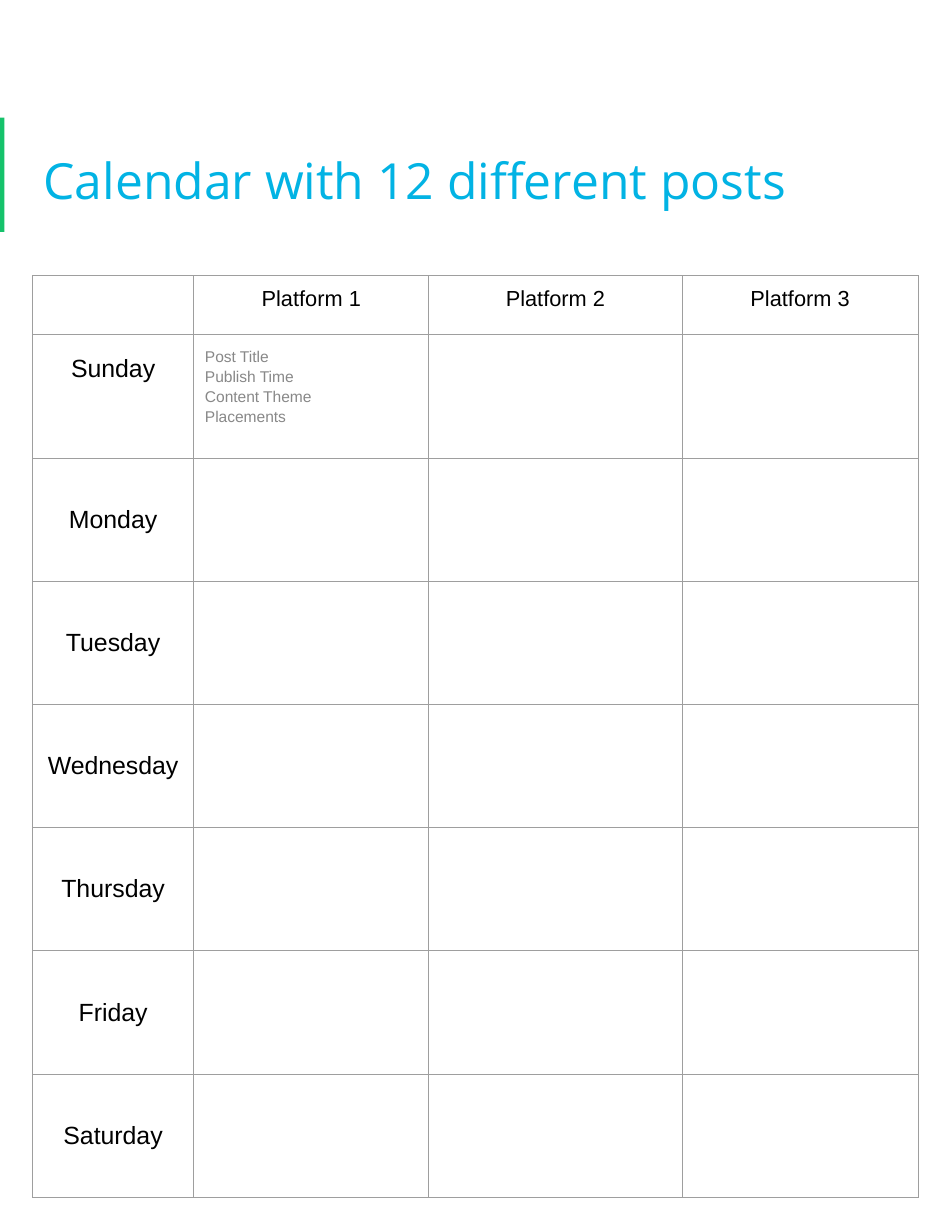
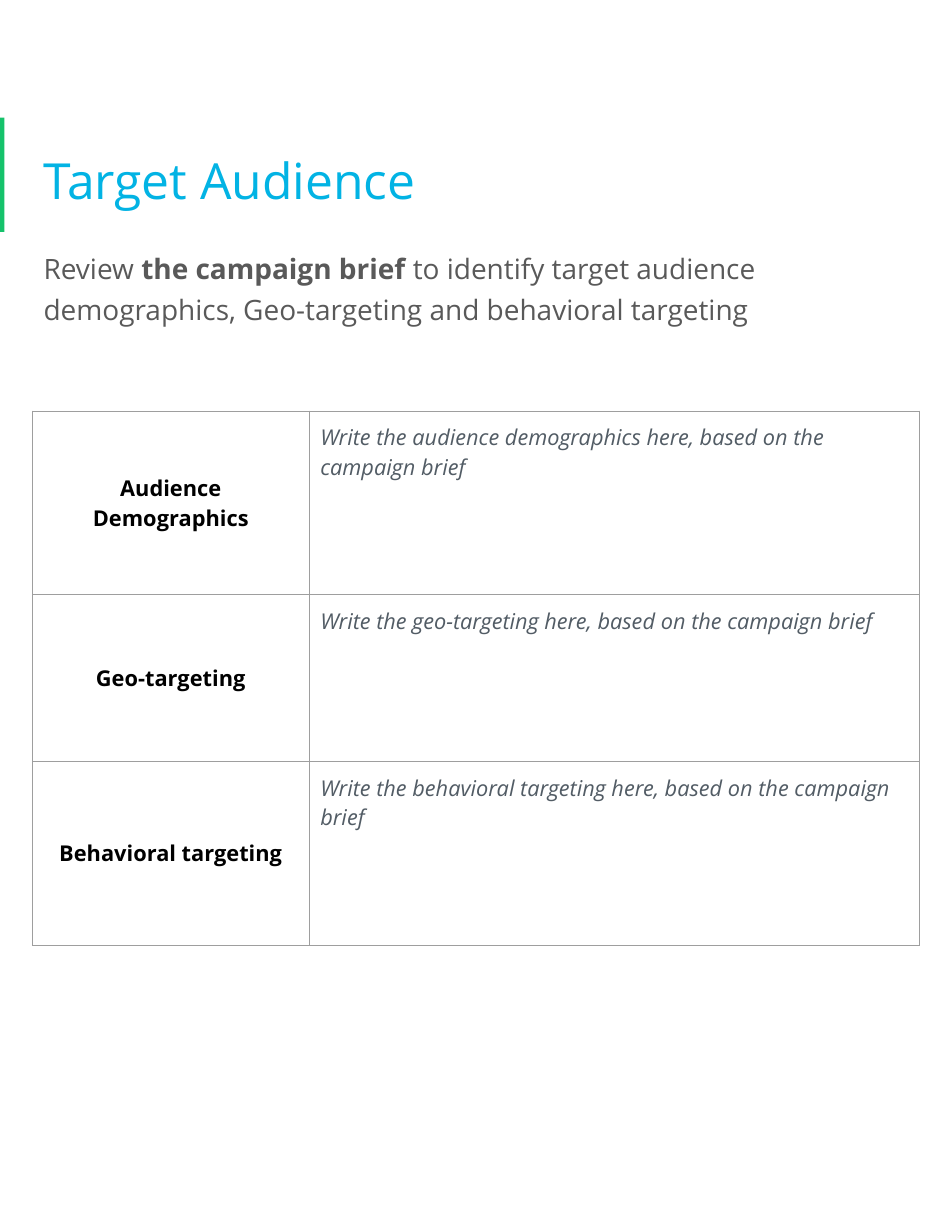
from lxml import etree
from pptx import Presentation
from pptx.dml.color import RGBColor
from pptx.enum.shapes import MSO_SHAPE
from pptx.enum.text import MSO_ANCHOR, PP_ALIGN
from pptx.oxml.ns import qn
from pptx.util import Inches, Pt

RECT = MSO_SHAPE.RECTANGLE
TOP, MIDDLE = MSO_ANCHOR.TOP, MSO_ANCHOR.MIDDLE
LEFT, CENTER = PP_ALIGN.LEFT, PP_ALIGN.CENTER

COLORS = {
    "accent": "15C26B",
    "title": "02B3E4",
    "body": "595959",
    "ink": "000000",
    "hint": "888888",
    "prompt": "525C65",
    "grid": "9E9E9E",
}
SANS, ARIAL = "Open Sans", "Arial"
MARGIN = 0.29
TEXT_WIDTH = 7.92
INSET = Inches(0.1)
INSETS = {f"margin_{side}": INSET for side in ("left", "right", "top", "bottom")}

TITLE = {"name": SANS, "size": Pt(32), "color": "title"}
BODY = {"name": SANS, "size": Pt(18), "color": "body"}
HEADER = {"name": ARIAL, "size": Pt(14), "color": "ink"}
DAY = {"name": ARIAL, "size": Pt(16), "color": "ink"}
HINT = {"name": ARIAL, "size": Pt(10), "color": "hint"}
LABEL = {"name": SANS, "size": Pt(14), "color": "ink", "bold": True}
PROMPT = {"name": SANS, "size": Pt(14), "color": "prompt", "italic": True}

PLATFORMS = ["Platform 1", "Platform 2", "Platform 3"]
DAYS = ["Sunday", "Monday", "Tuesday", "Wednesday", "Thursday", "Friday", "Saturday"]
POST_FIELDS = ["Post Title", "Publish Time", "Content Theme", "Placements"]
AUDIENCE = [
    ("Audience Demographics", "audience demographics"),
    ("Geo-targeting", "geo-targeting"),
    ("Behavioral targeting", "behavioral targeting"),
]


def set_attrs(obj, values):
    """Set each named attribute of an object."""
    for name, value in values.items():
        setattr(obj, name, value)


def add_run(p, text, fmt):
    """Add a formatted run to a paragraph."""
    r = p.add_run()
    r.text = text
    set_attrs(r.font, {k: v for k, v in fmt.items() if k != "color"})
    r.font.color.rgb = RGBColor.from_string(COLORS[fmt["color"]])


def fill_paragraphs(tf, lines, fmt, align=LEFT, spacing=1.0):
    """Write one paragraph per line into a text frame."""
    for i, line in enumerate(lines):
        p = tf.add_paragraph() if i else tf.paragraphs[0]
        set_attrs(p, {"alignment": align, "line_spacing": spacing})
        add_run(p, line, fmt)


def add_text_box(s, top, height, anchor):
    """Add a wrapping text box across the page and return its frame."""
    sp = s.shapes.add_textbox(Inches(MARGIN), Inches(top), Inches(TEXT_WIDTH), Inches(height))
    tf = sp.text_frame
    set_attrs(tf, {**INSETS, "word_wrap": True, "vertical_anchor": anchor})
    return tf


def add_titled_slide(prs, title):
    """Add a blank slide with the accent bar and a title."""
    s = prs.slides.add_slide(prs.slide_layouts[6])
    sp = s.shapes.add_shape(RECT, 0, Inches(1.05), Inches(0.04), Inches(1.02))
    sp.shadow.inherit = False
    sp.fill.solid()
    sp.fill.fore_color.rgb = RGBColor.from_string(COLORS["accent"])
    sp.line.fill.background()
    fill_paragraphs(add_text_box(s, 0.95, 1.22, MIDDLE), [title], TITLE, spacing=1.15)
    return s


def set_borders(cell):
    """Draw a thin grid line on every side of a cell."""
    tc_pr = cell._tc.get_or_add_tcPr()
    for side in ("lnL", "lnR", "lnT", "lnB"):
        ln = etree.SubElement(tc_pr, qn(f"a:{side}"), w=str(Pt(0.75)))
        fill = etree.SubElement(ln, qn("a:solidFill"))
        etree.SubElement(fill, qn("a:srgbClr"), val=COLORS["grid"])


def add_grid(s, top, widths, heights):
    """Add an unfilled table with grid lines."""
    frame = s.shapes.add_table(
        len(heights), len(widths), Inches(MARGIN), Inches(top),
        Inches(sum(widths)), Inches(sum(heights)))
    table = frame.table
    set_attrs(table, {"first_row": False, "horz_banding": False})
    for column, width in zip(table.columns, widths):
        column.width = Inches(width)
    for row, height in zip(table.rows, heights):
        row.height = Inches(height)
    for cell in table.iter_cells():
        set_attrs(cell, INSETS)
        set_borders(cell)
        cell.fill.background()
    return table


def write_cell(cell, lines, fmt, align=LEFT, anchor=TOP, spacing=1.0):
    """Write formatted lines into a table cell."""
    cell.vertical_anchor = anchor
    fill_paragraphs(cell.text_frame, lines, fmt, align, spacing)


def build_calendar(prs):
    """Build the weekly posting calendar."""
    s = add_titled_slide(prs, "Calendar with 12 different posts")
    table = add_grid(s, 2.46, [1.44, 2.1, 2.26, 2.11], [0.53] + [1.1] * len(DAYS))
    for col, platform in enumerate(PLATFORMS, 1):
        write_cell(table.cell(0, col), [platform], HEADER, CENTER)
    for row, day in enumerate(DAYS, 1):
        write_cell(table.cell(row, 0), [day], DAY, CENTER, MIDDLE)
    set_attrs(table.cell(1, 0), {"vertical_anchor": TOP, "margin_top": Inches(0.18)})
    write_cell(table.cell(1, 1), POST_FIELDS, HINT, spacing=1.15)


def build_audience(prs):
    """Build the target audience worksheet."""
    s = add_titled_slide(prs, "Target Audience")
    p = add_text_box(s, 2.09, 2, TOP).paragraphs[0]
    p.line_spacing = 1.2
    add_run(p, "Review ", BODY)
    add_run(p, "the campaign brief ", {**BODY, "bold": True})
    add_run(p, "to identify target audience demographics, "
               "Geo-targeting and behavioral targeting", BODY)
    table = add_grid(s, 3.67, [2.47, 5.45], [1.64, 1.49, 1.64])
    for row, (label, subject) in enumerate(AUDIENCE):
        prompt = f"Write the {subject} here, based on the campaign brief"
        write_cell(table.cell(row, 0), [label], LABEL, CENTER, MIDDLE)
        write_cell(table.cell(row, 1), [prompt], PROMPT)


def main():
    """Build and save the presentation."""
    prs = Presentation()
    set_attrs(prs, {"slide_width": Inches(8.5), "slide_height": Inches(11)})
    build_calendar(prs)
    build_audience(prs)
    prs.save("out.pptx")


if __name__ == "__main__":
    main()
